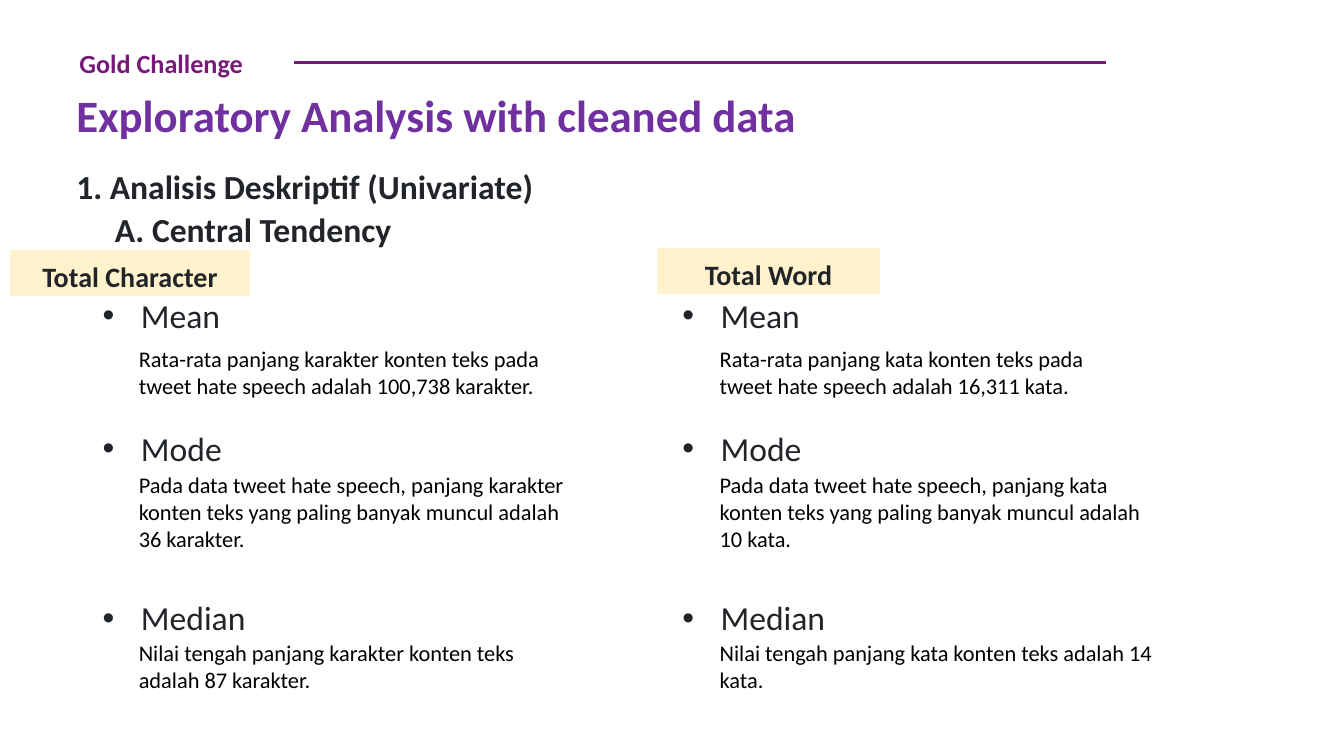
import pptx
import pptx.dml.color
import pptx.enum.shapes
import pptx.enum.text
import pptx.oxml.ns
import pptx.util
from dataclasses import dataclass
from lxml import etree

ANCHOR = pptx.enum.text.MSO_ANCHOR
ALIGN = pptx.enum.text.PP_ALIGN
FIT = pptx.enum.text.MSO_AUTO_SIZE.SHAPE_TO_FIT_TEXT


@dataclass(frozen=True)
class Theme:
    font: str = "Calibri"
    plum: str = "761A79"
    purple: str = "7030A0"
    ink: str = "212529"
    black: str = "000000"
    cream: str = "FFF2CC"
    label: float = 18.7
    title: float = 32
    heading: float = 24
    tag: float = 20
    body: float = 16
    spacing: float = 1.14


def rgb(value):
    return pptx.dml.color.RGBColor.from_string(value)


def set_all(target, values):
    for name, value in values.items():
        setattr(target, name, value)


class Page:
    """One slide, measured on a grid of 32 columns and 18 rows."""

    def __init__(self, deck, theme):
        self.theme = theme
        self.column = deck.slide_width / 32
        self.row = deck.slide_height / 18
        self.shapes = deck.slides.add_slide(deck.slide_layouts[6]).shapes

    def place(self, left, top, width, height):
        return (round(left * self.column), round(top * self.row),
                round(width * self.column), round(height * self.row))

    def fill_text(self, box, text, size, color, bold=False, spacing=None,
                  align=ALIGN.LEFT, bullet=False, **frame):
        set_all(box.text_frame, {"word_wrap": True, "auto_size": FIT,
                                 "vertical_anchor": ANCHOR.TOP, **frame})
        para = box.text_frame.paragraphs[0]
        set_all(para, {"alignment": align, "line_spacing": spacing})
        if bullet:
            self.add_bullet(para)
        span = para.add_run()
        span.text = text
        set_all(span.font, {"name": self.theme.font, "bold": bold,
                            "size": pptx.util.Pt(size)})
        span.font.color.rgb = rgb(color)

    def add_bullet(self, para):
        indent = pptx.util.Inches(0.38)
        settings = para._p.get_or_add_pPr()
        settings.set("marL", str(indent))
        settings.set("indent", str(-indent))
        for tag, key, value in (("a:buFont", "typeface", "Arial"),
                                ("a:buChar", "char", "•")):
            etree.SubElement(settings, pptx.oxml.ns.qn(tag)).set(key, value)

    def text(self, spot, text, size, color, **style):
        box = self.shapes.add_textbox(*self.place(*spot))
        self.fill_text(box, text, size, color, **style)

    def heading(self, left, top, text, **style):
        self.text((left, top, 13.78, 1.27), text, self.theme.heading,
                  self.theme.ink, spacing=self.theme.spacing, **style)

    def tag(self, spot, text):
        """Draw a filled column caption."""
        box = self.shapes.add_shape(
            pptx.enum.shapes.MSO_SHAPE.RECTANGLE, *self.place(*spot))
        box.shadow.inherit = False
        box.fill.solid()
        box.fill.fore_color.rgb = rgb(self.theme.cream)
        box.line.fill.background()
        self.fill_text(box, text, self.theme.tag, self.theme.ink, bold=True,
                       spacing=self.theme.spacing, align=ALIGN.CENTER)

    def rule(self, start, end, top):
        left, height, right, _ = self.place(start, top, end, 0)
        line = self.shapes.add_connector(
            pptx.enum.shapes.MSO_CONNECTOR.STRAIGHT, left, height, right, height)
        line.line.color.rgb = rgb(self.theme.plum)
        line.line.width = pptx.util.Pt(1.5)
        etree.SubElement(line._element.spPr, pptx.oxml.ns.qn("a:effectLst"))


# Statistic, heading row, note row, note width, note height
STATISTICS = [
    ("Mean", 6.77, 8.11, 10.44, 1.54),
    ("Mode", 9.94, 11.11, 10.85, 2.18),
    ("Median", 13.97, 15.1, 10.85, 1.54),
]

# Caption, caption place, heading column, note column, notes
MEASURES = [
    ("Total Character", (0.24, 5.95, 5.71, 1.1), 2.21, 3.07, [
        "Rata-rata panjang karakter konten teks pada tweet hate speech "
        "adalah 100,738 karakter.",
        "Pada data tweet hate speech, panjang karakter konten teks yang "
        "paling banyak muncul adalah 36 karakter.",
        "Nilai tengah panjang karakter konten teks adalah 87 karakter."]),
    ("Total Word", (15.65, 5.9, 5.3, 1.1), 16.01, 16.9, [
        "Rata-rata panjang kata konten teks pada tweet hate speech "
        "adalah 16,311 kata.",
        "Pada data tweet hate speech, panjang kata konten teks yang "
        "paling banyak muncul adalah 10 kata.",
        "Nilai tengah panjang kata konten teks adalah 14 kata."]),
]


def main():
    theme = Theme()
    deck = pptx.Presentation()
    set_all(deck, {"slide_width": pptx.util.Inches(13.33),
                   "slide_height": pptx.util.Inches(7.5)})
    page = Page(deck, theme)

    page.rule(26.33, 7.01, 1.49)
    inset = pptx.util.Inches(0.13)
    margins = {f"margin_{side}": inset
               for side in ("left", "top", "right", "bottom")}
    page.text((1.58, 0.5, 8.74, 2.02), "Gold Challenge", theme.label, theme.plum,
              bold=True, vertical_anchor=ANCHOR.MIDDLE,
              auto_size=pptx.enum.text.MSO_AUTO_SIZE.NONE, **margins)
    page.text((1.58, 1.97, 18.26, 1.54), "Exploratory Analysis with cleaned data",
              theme.title, theme.purple, bold=True, word_wrap=False)
    page.heading(1.58, 3.7, "1. Analisis Deskriptif (Univariate)", bold=True)
    page.heading(2.5, 4.73, "A. Central Tendency", bold=True)

    for caption, spot, heading_left, note_left, notes in MEASURES:
        page.tag(spot, caption)
        for (name, top, note_top, width, height), note in zip(STATISTICS, notes):
            page.heading(heading_left, top, name, bullet=True)
            page.text((note_left, note_top, width, height), note,
                      theme.body, theme.black)

    deck.save("out.pptx")


if __name__ == "__main__":
    main()
